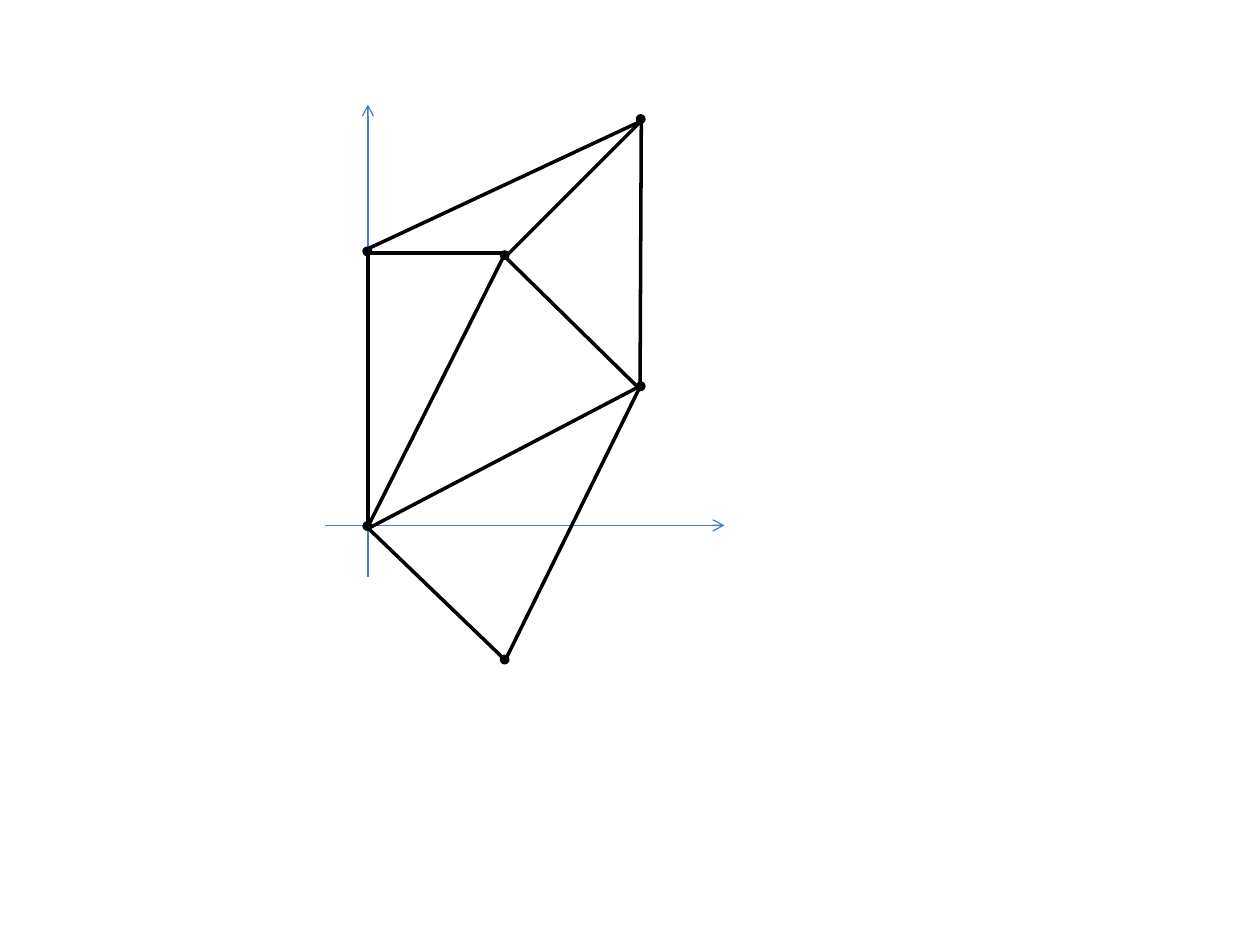
"""Build a slide with a triangulated figure on a pair of axes."""
from lxml import etree
from pptx import Presentation
from pptx import util as u
from pptx.dml.color import RGBColor
from pptx.enum import shapes
from pptx.oxml.ns import qn

COLORS = {"axis": "4B7EBC", "ink": "000000"}
DOT = 0.05
AXES = [((2.58, 4.17), (5.75, 4.17)), ((2.92, 4.58), (2.92, 0.83))]
DOTS = [(2.89, 4.15), (3.98, 5.21), (5.06, 0.92),
        (3.98, 2), (5.06, 3.04), (2.89, 1.97)]
EDGES = [
    ((2.92, 2), (2.92, 4.17)),
    ((2.93, 2.01), (3.99, 2.01)),
    ((4.03, 2.02), (5.08, 0.97)),
    ((4, 5.26), (5.08, 3.07)),
    ((3.99, 5.22), (2.92, 4.19)),
    ((5.07, 3.08), (4, 2.03)),
    ((2.93, 4.16), (3.99, 2.05)),
    ((2.93, 4.19), (5.07, 3.07)),
    ((5.08, 3.04), (5.09, 0.95)),
    ((2.93, 1.97), (5.07, 0.97)),
]


def paint(line, color, width):
    line.color.rgb = RGBColor.from_string(COLORS[color])
    line.width = u.Pt(width)


def draw_line(slide, start, end, color, width, arrow=False):
    ends = [u.Inches(n) for n in (*start, *end)]
    line = slide.shapes.add_connector(shapes.MSO_CONNECTOR.STRAIGHT, *ends)
    paint(line.line, color, width)
    props = line._element.spPr
    etree.SubElement(props, qn("a:effectLst"))
    if arrow:
        etree.SubElement(props.find(qn("a:ln")), qn("a:tailEnd"), type="arrow")


def draw_dot(slide, left, top):
    box = [u.Inches(n) for n in (left, top, DOT, DOT)]
    dot = slide.shapes.add_shape(shapes.MSO_SHAPE.OVAL, *box)
    dot.shadow.inherit = False
    dot.fill.solid()
    dot.fill.fore_color.rgb = RGBColor.from_string(COLORS["ink"])
    paint(dot.line, "ink", 2)


def main():
    deck = Presentation()
    deck.slide_width, deck.slide_height = u.Inches(10), u.Inches(7.5)
    slide = deck.slides.add_slide(deck.slide_layouts[6])
    for start, end in AXES:
        draw_line(slide, start, end, "axis", 0.75, arrow=True)
    for left, top in DOTS:
        draw_dot(slide, left, top)
    for start, end in EDGES:
        draw_line(slide, start, end, "ink", 2)
    deck.save("out.pptx")


if __name__ == "__main__":
    main()
